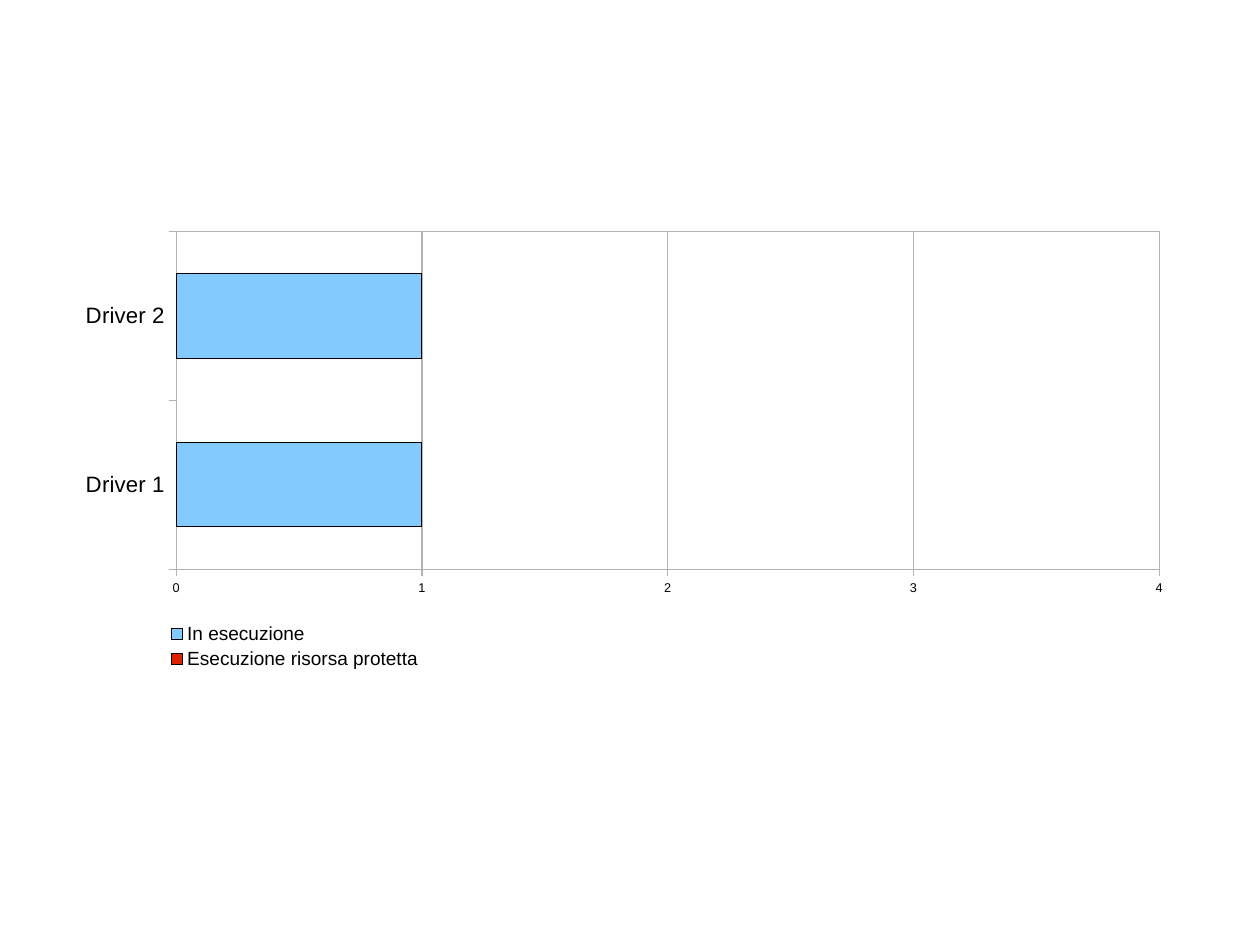
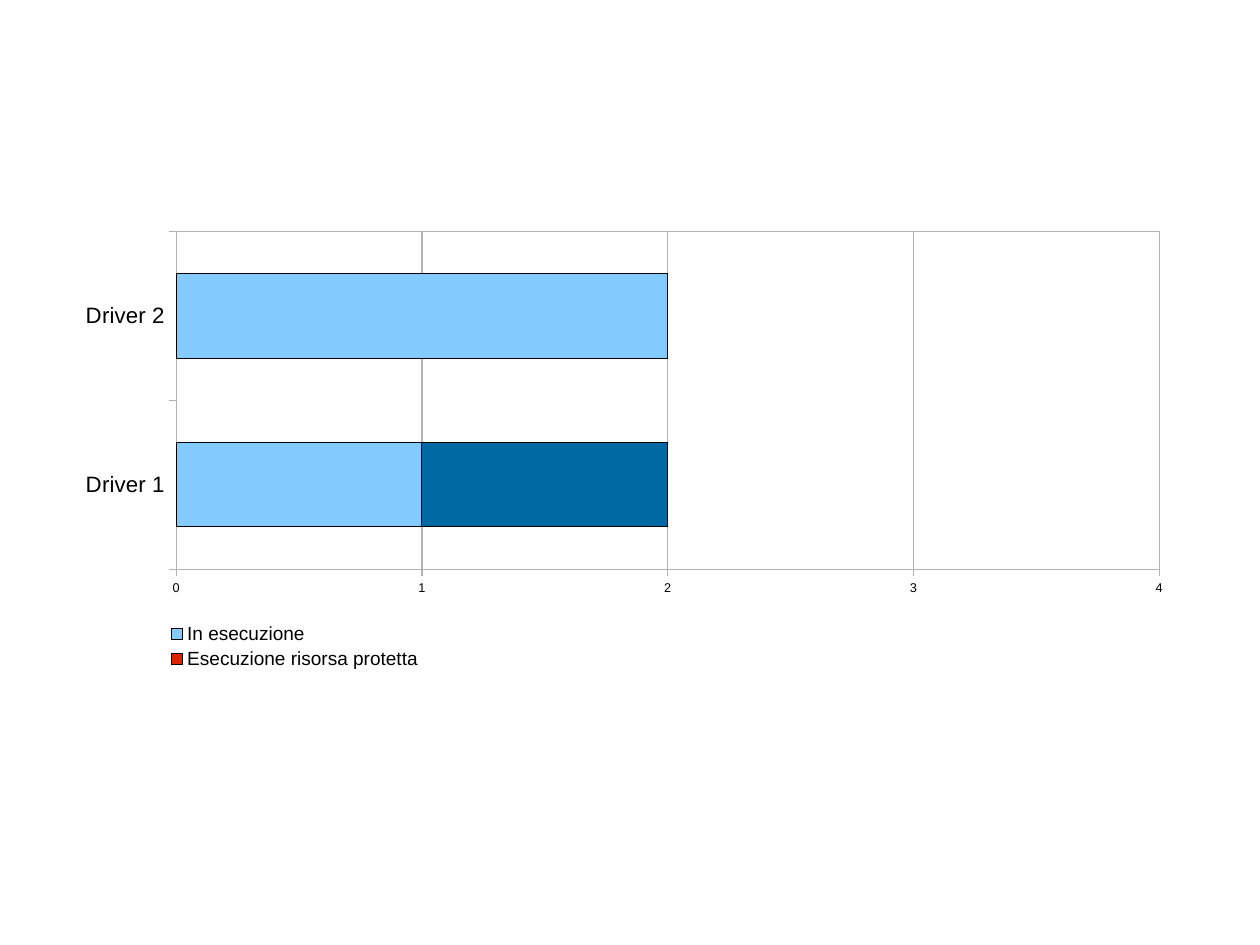
from lxml.etree import SubElement
from pptx import Presentation
from pptx.chart.data import CategoryChartData
from pptx.dml.color import RGBColor
from pptx.enum.chart import XL_CHART_TYPE as ChartType, XL_LEGEND_POSITION as LegendPos, XL_TICK_MARK as Tick
from pptx.oxml import parse_xml
from pptx.oxml.ns import nsdecls, qn
from pptx.util import Cm, Pt

DRIVERS = ["Driver 1", "Driver 2"]
STATES = [("In esecuzione", "83CAFF"), ("Esecuzione risorsa protetta", "DC2300")]
TIMELINES = [
    {"values": [(1, 1), (None, None)], "highlights": {}},
    {"values": [(1, 2), (1, 0)], "highlights": {(1, 0): "0069A3"}},
]
INK, GRID, FONT = "000000", "B3B3B3", "Arial"
SLIDE_SIZE = Cm(28), Cm(21)
CHART_BOX = Cm(1.4), Cm(4.93), Cm(25.2), Cm(11.05)
PLOT_LAYOUT = {"layoutTarget": "outer", "xMode": "edge", "yMode": "edge",
               "x": 0.02, "y": 0.02, "w": 0.95, "h": 0.73}
LEGEND_LAYOUT = {"xMode": "edge", "yMode": "edge", "x": 0.09, "y": 0.8}
TIME_SCALE = {"minimum_scale": 0, "maximum_scale": 4, "major_unit": 1, "has_major_gridlines": True}


def rgb(color):
    """Turn a hex string into a colour."""
    return RGBColor.from_string(color)


def style_font(font, size):
    """Apply the shared typeface and ink at a given size."""
    for name, value in {"name": FONT, "size": Pt(size), "bold": False}.items():
        setattr(font, name, value)
    font.color.rgb = rgb(INK)


def style_line(line, color):
    """Make a hairline of one colour."""
    line.color.rgb = rgb(color)
    line.width = Pt(0)


def paint(part, color):
    """Fill a bar and outline it in ink."""
    part.format.fill.solid()
    part.format.fill.fore_color.rgb = rgb(color)
    style_line(part.format.line, INK)


def place(element, index, settings):
    """Give a chart part a manual layout."""
    for old in element.findall(qn("c:layout")):
        element.remove(old)
    layout = parse_xml(f"<c:layout {nsdecls('c')}><c:manualLayout/></c:layout>")
    for tag, value in settings.items():
        SubElement(layout[0], qn(f"c:{tag}")).set("val", str(value))
    element.insert(index, layout)


def style_axes(chart):
    """Style both axes and the time grid."""
    for axis, size in ((chart.category_axis, 14), (chart.value_axis, 8)):
        axis.major_tick_mark, axis.minor_tick_mark = Tick.OUTSIDE, Tick.NONE
        style_font(axis.tick_labels.font, size)
        style_line(axis.format.line, GRID)
    for name, value in TIME_SCALE.items():
        setattr(chart.value_axis, name, value)
    style_line(chart.value_axis.major_gridlines.format.line, GRID)


def style_frame(chart):
    """Place the plot with its border and the legend."""
    chart.has_legend = True
    legend = chart.legend
    legend.position, legend.include_in_layout = LegendPos.LEFT, False
    style_font(legend.font, 12)
    place(chart._chartSpace.find(f".//{qn('c:legend')}"), 1, LEGEND_LAYOUT)
    plot_area = chart._chartSpace.find(f".//{qn('c:plotArea')}")
    place(plot_area, 0, PLOT_LAYOUT)
    plot_area.append(parse_xml(
        f'<c:spPr {nsdecls("c", "a")}><a:noFill/><a:ln w="0"><a:solidFill>'
        f'<a:srgbClr val="{GRID}"/></a:solidFill></a:ln></c:spPr>'))


def add_timeline(slide, values, highlights):
    """Draw one stacked bar timeline of the drivers."""
    timeline = CategoryChartData()
    timeline.categories = DRIVERS
    for (state, _), durations in zip(STATES, values):
        timeline.add_series(state, durations)
    chart = slide.shapes.add_chart(ChartType.BAR_STACKED, *CHART_BOX, timeline).chart
    chart.has_title = False
    style_font(chart.font, 10)
    bars = chart.plots[0]
    bars.gap_width, bars.overlap, bars.vary_by_categories = 100, 100, False
    for series, (_, color) in zip(bars.series, STATES):
        paint(series, color)
    for (state, driver), color in highlights.items():
        paint(bars.series[state].points[driver], color)
    style_axes(chart)
    style_frame(chart)


def main():
    """Build the deck of timelines."""
    deck = Presentation()
    deck.slide_width, deck.slide_height = SLIDE_SIZE
    for timeline in TIMELINES:
        add_timeline(deck.slides.add_slide(deck.slide_layouts[6]), **timeline)
    deck.save("out.pptx")


if __name__ == "__main__":
    main()
